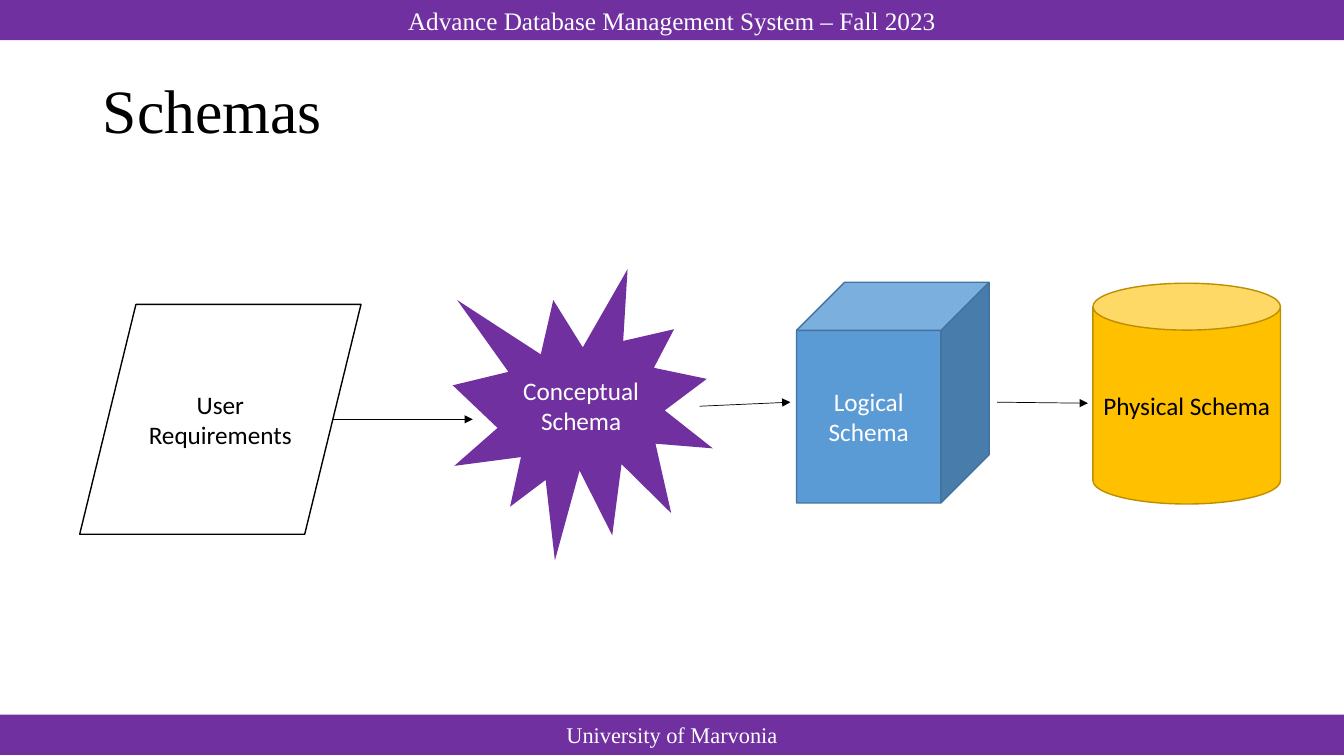
import lxml.etree
import pptx
import pptx.dml.color
import pptx.enum.shapes
import pptx.enum.text
import pptx.oxml.ns
import pptx.util

Inches = pptx.util.Inches
Preset = pptx.enum.shapes.MSO_SHAPE
Anchor = pptx.enum.text.MSO_ANCHOR
Align = pptx.enum.text.PP_ALIGN
qn = pptx.oxml.ns.qn

THEME = {
    "purple": "7030A0", "blue": "5B9BD5", "blue_edge": "43739E",
    "gold": "FFC000", "gold_edge": "BD8E00", "black": "000000", "white": "FFFFFF",
    "serif": "Times New Roman", "sans": "Calibri",
    "title_size": 44, "body_size": 18, "footer_size": 16,
    "outline": 1, "arrow": 0.5,
}


def color(name):
    return pptx.dml.color.RGBColor.from_string(THEME[name])


def write(shape, text, font, size, ink, anchor=Anchor.MIDDLE, align=Align.CENTER, spacing=1.0):
    frame = shape.text_frame
    frame.text = text
    frame_format = {"word_wrap": True, "auto_size": pptx.enum.text.MSO_AUTO_SIZE.NONE,
                    "vertical_anchor": anchor}
    for name, value in frame_format.items():
        setattr(frame, name, value)
    for paragraph in frame.paragraphs:
        paragraph.alignment = align
        paragraph.line_spacing = spacing
        font_format = {"name": THEME[font], "size": pptx.util.Pt(THEME[size])}
        for run in paragraph.runs:
            for name, value in font_format.items():
                setattr(run.font, name, value)
            run.font.color.rgb = color(ink)


deck = pptx.Presentation()
deck.slide_width = Inches(13.33)
deck.slide_height = Inches(7.5)
slide = deck.slides.add_slide(deck.slide_layouts[5])

title = slide.shapes.title
title_place = {"left": 0.92, "top": 0.4, "width": 11.5, "height": 1.45}
for name, value in title_place.items():
    setattr(title, name, Inches(value))
write(title, "Schemas", "serif", "title_size", "black", align=Align.LEFT, spacing=0.9)

blocks = [
    (Preset.RECTANGLE, (0, 0, 13.33, 0.4), "purple", None,
     "Advance Database Management System – Fall 2023", "serif", "body_size", "white", Anchor.TOP),
    (Preset.RECTANGLE, (0, 7.09, 13.33, 0.4), "purple", None,
     "University of Marvonia", "serif", "footer_size", "white", Anchor.MIDDLE),
    (Preset.FLOWCHART_DATA, (0.79, 3.02, 2.79, 2.28), None, "black",
     "User\nRequirements", "sans", "body_size", "black", Anchor.MIDDLE),
    (Preset.EXPLOSION1, (4.49, 2.67, 2.58, 2.89), "purple", None,
     "Conceptual Schema", "sans", "body_size", "white", Anchor.MIDDLE),
    (Preset.CUBE, (7.9, 2.8, 1.91, 2.19), "blue", "blue_edge",
     "Logical Schema", "sans", "body_size", "white", Anchor.MIDDLE),
    (Preset.CAN, (10.84, 2.81, 1.86, 2.19), "gold", "gold_edge",
     "Physical Schema", "sans", "body_size", "black", Anchor.MIDDLE),
]
for preset, place, fill, edge, text, font, size, ink, anchor in blocks:
    block = slide.shapes.add_shape(preset, *map(Inches, place))
    block.shadow.inherit = False
    if fill:
        block.fill.solid()
        block.fill.fore_color.rgb = color(fill)
    else:
        block.fill.background()
    if edge:
        block.line.color.rgb = color(edge)
        block.line.width = pptx.util.Pt(THEME["outline"])
    else:
        block.line.fill.background()
    write(block, text, font, size, ink, anchor)

flow_steps = [
    (3.3, 4.16, 4.69, 4.16),
    (6.94, 4.03, 7.84, 3.99),
    (9.89, 3.99, 10.79, 4),
]
for ends in flow_steps:
    arrow = slide.shapes.add_connector(
        pptx.enum.shapes.MSO_CONNECTOR.STRAIGHT, *map(Inches, ends))
    arrow.line.color.rgb = color("black")
    arrow.line.width = pptx.util.Pt(THEME["arrow"])
    properties = arrow.element.spPr
    lxml.etree.SubElement(properties.find(qn("a:ln")), qn("a:tailEnd"), type="triangle")
    lxml.etree.SubElement(properties, qn("a:effectLst"))

deck.save("out.pptx")
